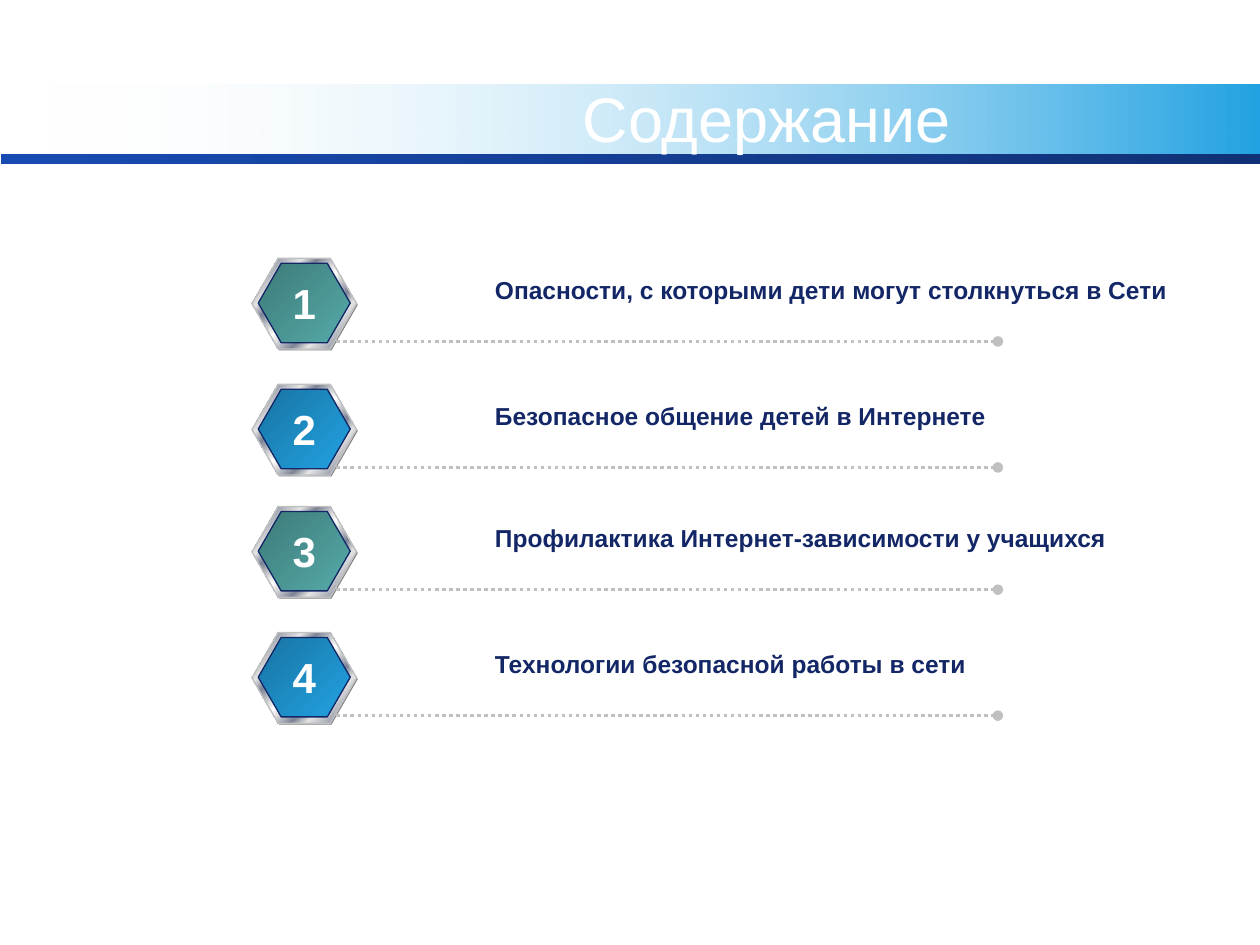
"""Build a contents slide with four numbered hexagon rows."""
import pptx
import pptx.util
from pptx.dml.color import RGBColor
from pptx.enum.dml import MSO_LINE
from pptx.enum.shapes import MSO_CONNECTOR, MSO_SHAPE
from pptx.enum.text import MSO_ANCHOR, MSO_AUTO_SIZE, PP_ALIGN
from pptx.oxml.ns import qn
from pptx.oxml.xmlchemy import OxmlElement
from pptx.util import Inches, Pt

TITLE = "Содержание"
ITEMS = [
    (2.05, "Опасности, с которыми дети могут столкнуться в Сети", 5.57),
    (3.05, "Безопасное общение детей в Интернете", 4.12),
    (4.02, "Профилактика Интернет-зависимости у учащихся", 5.08),
    (5.02, "Технологии безопасной работы в сети", 3.96),
]

WHITE = RGBColor(0xFF, 0xFF, 0xFF)
NAVY = RGBColor(0x13, 0x27, 0x67)
SILVER = RGBColor(0xC0, 0xC0, 0xC0)
GRAY = RGBColor(0x80, 0x80, 0x80)
LIGHT = RGBColor(0xE6, 0xE6, 0xE6)
STEEL = RGBColor(0x7D, 0x84, 0x96)
SKY = RGBColor(0x22, 0xA2, 0xE2)
ROYAL = RGBColor(0x18, 0x4B, 0xB2)
DEEP = RGBColor(0x10, 0x31, 0x75)
TEAL_DARK = RGBColor(0x3D, 0x7A, 0x79)
TEAL = RGBColor(0x55, 0xAB, 0xA9)
BLUE_DARK = RGBColor(0x18, 0x74, 0xA2)

CHROME = [(0, LIGHT), (8, STEEL), (26, LIGHT), (34, STEEL), (46, LIGHT), (50, WHITE),
          (54, LIGHT), (66, STEEL), (74, LIGHT), (92, STEEL), (100, LIGHT)]
FACES = [[(0, TEAL_DARK), (100, TEAL)], [(0, BLUE_DARK), (100, SKY)]]


def set_gradient(sp, stops, angle=0, clear_start=False):
    sp.fill.gradient()
    sp.fill.gradient_angle = (360 - angle) % 360
    stop_list = sp._element.spPr.find(qn("a:gradFill")).find(qn("a:gsLst"))
    for old in list(stop_list):
        stop_list.remove(old)
    for pos, color in stops:
        gs = OxmlElement("a:gs")
        gs.set("pos", str(pos * 1000))
        clr = OxmlElement("a:srgbClr")
        clr.set("val", str(color))
        if clear_start and pos == 0:
            alpha = OxmlElement("a:alpha")
            alpha.set("val", "0")
            clr.append(alpha)
        gs.append(clr)
        stop_list.append(gs)


def add_shape(shapes, kind, box, line=None):
    sp = shapes.add_shape(kind, *map(Inches, box))
    sp.shadow.inherit = False
    if line is None:
        sp.line.fill.background()
    else:
        sp.line.color.rgb = line
        sp.line.width = Pt(0.75)
    return sp


def add_hexagon(shapes, box, line=None):
    sp = add_shape(shapes, MSO_SHAPE.HEXAGON, box, line)
    sp.adjustments[0] = 0.289
    sp.adjustments[1] = 1.155
    return sp


def add_badge(s, top, face):
    shapes = s.shapes.add_group_shape().shapes
    sp = add_hexagon(shapes, (2.01, top + 0.01, 0.83, 0.72))
    sp.fill.solid()
    sp.fill.fore_color.rgb = GRAY
    set_gradient(add_hexagon(shapes, (2, top, 0.83, 0.72), SILVER), CHROME, 45)
    set_gradient(add_hexagon(shapes, (2.05, top + 0.04, 0.73, 0.63), NAVY), face, 45)


def add_rule(s, y):
    cn = s.shapes.add_connector(MSO_CONNECTOR.STRAIGHT, *map(Inches, (2.67, y, 7.92, y)))
    cn.line.color.rgb = SILVER
    cn.line.width = Pt(2)
    cn.line.dash_style = MSO_LINE.ROUND_DOT
    end = OxmlElement("a:tailEnd")
    end.set("type", "oval")
    cn.line._get_or_add_ln().append(end)
    cn._element.spPr.append(OxmlElement("a:effectLst"))


def add_text(s, box, text, size, color, bold=True, align=PP_ALIGN.LEFT, wrap=False):
    tf = s.shapes.add_textbox(*map(Inches, box)).text_frame
    tf.word_wrap = wrap
    tf.auto_size = MSO_AUTO_SIZE.NONE if wrap else MSO_AUTO_SIZE.SHAPE_TO_FIT_TEXT
    tf.vertical_anchor = MSO_ANCHOR.MIDDLE if wrap else MSO_ANCHOR.TOP
    p = tf.paragraphs[0]
    p.alignment = align
    r = p.add_run()
    r.text = text
    r.font.name = "Arial"
    r.font.size = Pt(size)
    r.font.bold = bold
    r.font.color.rgb = color


def main():
    prs = pptx.Presentation()
    prs.slide_width, prs.slide_height = Inches(10), Inches(7.5)
    s = prs.slides.add_slide(prs.slide_layouts[6])

    band = add_shape(s.shapes, MSO_SHAPE.RECTANGLE, (0.33, 0.67, 9.67, 0.58))
    set_gradient(band, [(0, WHITE), (100, SKY)], clear_start=True)
    bar = add_shape(s.shapes, MSO_SHAPE.RECTANGLE, (0.01, 1.22, 9.99, 0.08))
    set_gradient(bar, [(0, ROYAL), (100, DEEP)])
    add_text(s, (2.67, 0.67, 6.83, 0.53), TITLE, 36, WHITE, False, PP_ALIGN.CENTER, True)

    for i, (top, text, width) in enumerate(ITEMS):
        add_badge(s, top, FACES[i % 2])
        add_rule(s, top + 0.66)
        add_text(s, (3.83, top + 0.08, width, 0.34), text, 14, NAVY)
        add_text(s, (2.22, top + 0.1, 0.39, 0.5), str(i + 1), 24, WHITE, align=PP_ALIGN.CENTER)

    prs.save("out.pptx")


if __name__ == "__main__":
    main()
